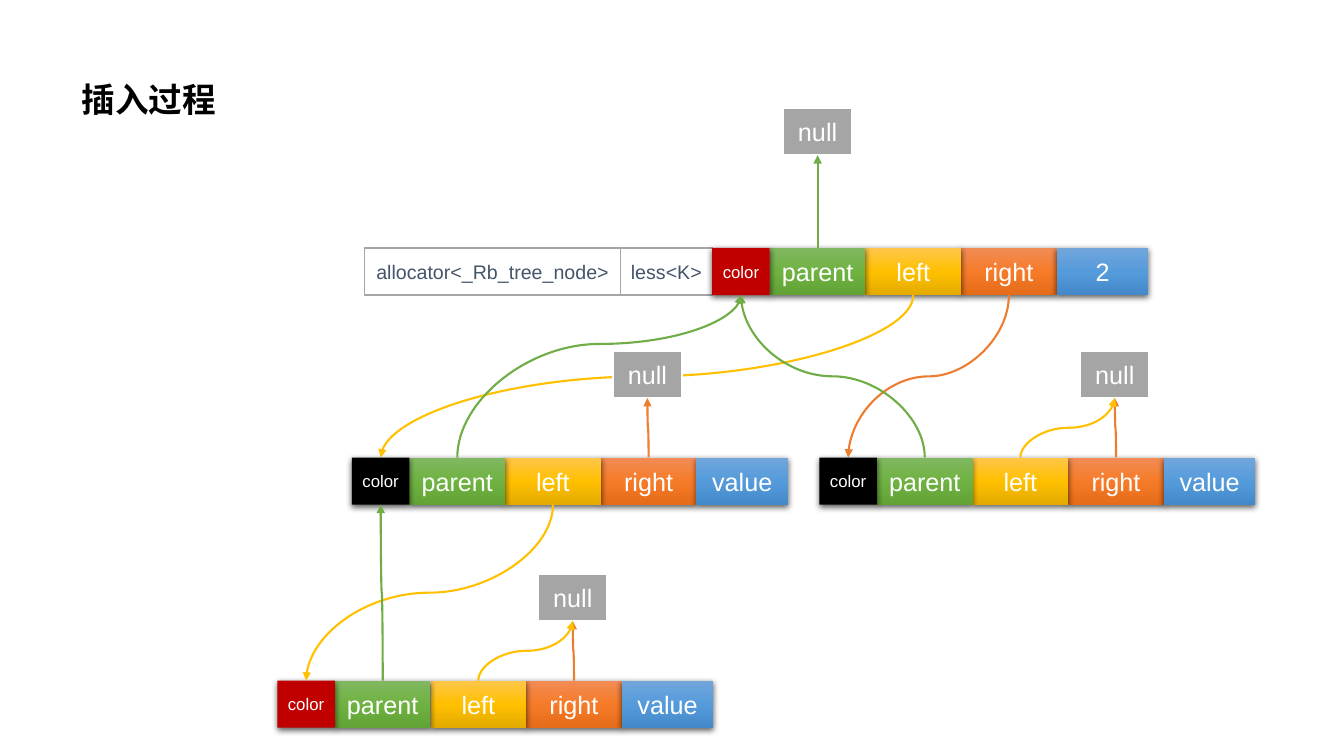
from lxml.etree import SubElement
from pptx import Presentation
from pptx.dml.color import RGBColor
from pptx.enum.shapes import MSO_CONNECTOR as Connector, MSO_SHAPE as Shape
from pptx.enum.text import MSO_ANCHOR as Anchor, MSO_AUTO_SIZE as AutoSize, PP_ALIGN as Align
from pptx.oxml.ns import qn
from pptx.util import Cm, Pt

COLORS = {
    "white": "FFFFFF", "black": "000000", "red": "C00000", "gray": "A5A5A5", "slate": "44546A",
    "parent": "70AD47", "left": "FFC000", "right": "ED7D31",
}
GRADIENTS = {
    "parent": ("81B861", "6FB242", "62A336"),
    "left": ("FFC64B", "FFC000", "E3AB00"),
    "right": ("F18C57", "F67B28", "E56C19"),
    "value": ("71A6DB", "559BDB", "448ACA"),
}
CELL_WIDTHS = {"color": 1.45, "parent": 2.41, "left": 2.41, "right": 2.41, "value": 2.31}
STACKING = ("right", "left", "parent", "color", "value")
HEIGHT = 1.19
NULL_WIDTH = 1.75
NULL_RISE = 2.69
ROOT_NULL_RISE = 3.53


def rgb(name):
    """Return the palette colour of the given name."""
    return RGBColor.from_string(COLORS[name])


def add_box(slide, box, text, size, fill=None, line=None, line_width=1, ink="white"):
    """Add a rectangle with one centred line of text."""
    shape = slide.shapes.add_shape(Shape.RECTANGLE, *map(Cm, box))
    shape.shadow.inherit = False
    if fill:
        shape.fill.solid()
        shape.fill.fore_color.rgb = rgb(fill)
    if line:
        shape.line.color.rgb = rgb(line)
        shape.line.width = Pt(line_width)
    else:
        shape.line.fill.background()
    frame = shape.text_frame
    frame.text = text
    frame.word_wrap = False
    frame.vertical_anchor = Anchor.MIDDLE
    frame.margin_left = frame.margin_right = 0
    paragraph = frame.paragraphs[0]
    paragraph.alignment = Align.CENTER
    font = paragraph.runs[0].font
    font.name, font.size = "Arial", Pt(size)
    font.color.rgb = rgb(ink)
    return shape


def set_gradient(shape, stops):
    """Fill a shape with evenly spaced colours from top to bottom."""
    shape.fill.gradient()
    shape.fill.gradient_angle = 270
    stop_list = shape._element.spPr.find(".//" + qn("a:gsLst"))
    for stop in list(stop_list):
        stop_list.remove(stop)
    for index, color in enumerate(stops):
        position = 100000 * index // (len(stops) - 1)
        stop = SubElement(stop_list, qn("a:gs"), pos=str(position))
        SubElement(stop, qn("a:srgbClr"), val=color)


def add_shadow(shape):
    """Give a shape a soft shadow below."""
    effects = shape._element.spPr.find(qn("a:effectLst"))
    shadow = SubElement(effects, qn("a:outerShdw"), blurRad=str(Pt(4.5)), dist=str(Pt(1.5)),
                        dir="5400000", algn="ctr", rotWithShape="0")
    color = SubElement(shadow, qn("a:srgbClr"), val=COLORS["black"])
    SubElement(color, qn("a:alpha"), val="63000")


def add_node(slide, left, top, color, value="value"):
    """Draw a tree node and return the top and bottom middle points of its cells."""
    lefts, x = {}, left
    for name, width in CELL_WIDTHS.items():
        lefts[name] = x
        x += width
    for name in STACKING:
        box = (lefts[name], top, CELL_WIDTHS[name], HEIGHT)
        text = value if name == "value" else name
        if name == "color":
            shape = add_box(slide, box, text, 12, color)
        else:
            shape = add_box(slide, box, text, 18)
            set_gradient(shape, GRADIENTS[name])
        add_shadow(shape)
    centers = {name: lefts[name] + width / 2 for name, width in CELL_WIDTHS.items()}
    return {"top": {name: (x, top) for name, x in centers.items()},
            "bottom": {name: (x, top + HEIGHT) for name, x in centers.items()}}


def add_link(slide, start, end, color, bend=0.5):
    """Draw a curved arrow that leaves and arrives vertically."""
    (x1, y1), (x2, y2) = start, end
    middle_x, middle_y = (x1 + x2) / 2, (y1 + y2) / 2
    half_length, half_spread = abs(y2 - y1) / 2, abs(x2 - x1) / 2
    downward = y2 > y1
    if downward == (x2 > x1):
        half_spread = -half_spread
    connector = slide.shapes.add_connector(
        Connector.CURVE, Cm(middle_x - half_length), Cm(middle_y - half_spread),
        Cm(middle_x + half_length), Cm(middle_y + half_spread))
    connector.line.color.rgb = rgb(color)
    connector.line.width = Pt(1.5)
    properties = connector._element.spPr
    properties.find(qn("a:xfrm")).set("rot", "5400000" if downward else "16200000")
    adjustments = properties.find(".//" + qn("a:avLst"))
    SubElement(adjustments, qn("a:gd"), name="adj1", fmla=f"val {round(bend * 100000)}")
    SubElement(properties.find(qn("a:ln")), qn("a:tailEnd"), type="triangle")
    SubElement(properties, qn("a:effectLst"))


def add_null(slide, node, sources, rise=NULL_RISE, shift=-0.03):
    """Place a null box above a node and point the source cells at it."""
    x, y = node["top"][sources[0]]
    center, top = x + shift, y - rise
    add_box(slide, (center - NULL_WIDTH / 2, top, NULL_WIDTH, HEIGHT), "null", 18,
            "gray", "white", 1.5)
    for source in sources:
        add_link(slide, node["top"][source], (center, top + HEIGHT), source)


def add_title(slide, box, text):
    """Fill and place the title placeholder."""
    title = slide.shapes.title
    title.left, title.top, title.width, title.height = map(Cm, box)
    frame = title.text_frame
    frame.text = text
    frame.auto_size = AutoSize.NONE
    frame.vertical_anchor = Anchor.MIDDLE
    paragraph = frame.paragraphs[0]
    paragraph.alignment = Align.LEFT
    paragraph.line_spacing = 0.9
    font = paragraph.runs[0].font
    font.name, font.size, font.bold = "Montserrat", Pt(24), True
    font.color.rgb = rgb("black")


def add_header(slide, right, top):
    """Place the comparator and allocator boxes to the left of the root node."""
    for text, width in (("less<K>", 2.31), ("allocator<_Rb_tree_node>", 6.45)):
        right -= width
        add_box(slide, (right, top, width, HEIGHT), text, 14, "white", "gray", ink="slate")


def add_tree(slide, left, top):
    """Draw the red-black tree with its links from the given corner."""
    root_left, root_top = left + 10.96, top + ROOT_NULL_RISE
    child_top = root_top + 5.28
    add_header(slide, root_left, root_top)
    root = add_node(slide, root_left, root_top, "red", "2")
    add_null(slide, root, ("parent",), ROOT_NULL_RISE, 0)

    left_child = add_node(slide, left + 1.88, child_top, "black")
    add_link(slide, root["bottom"]["left"], left_child["top"]["color"], "left")
    add_link(slide, left_child["top"]["parent"], root["bottom"]["color"], "parent", 0.7)
    add_null(slide, left_child, ("right",))

    right_child = add_node(slide, left + 13.66, child_top, "black")
    add_link(slide, root["bottom"]["right"], right_child["top"]["color"], "right")
    add_link(slide, right_child["top"]["parent"], root["bottom"]["color"], "parent")
    add_null(slide, right_child, ("right", "left"))

    grandchild = add_node(slide, left, child_top + 5.62, "red")
    add_link(slide, left_child["bottom"]["left"], grandchild["top"]["color"], "left")
    add_null(slide, grandchild, ("right", "left"))
    add_link(slide, grandchild["top"]["parent"], left_child["bottom"]["color"], "parent")


def main():
    """Build the slide and save it."""
    presentation = Presentation()
    presentation.slide_width, presentation.slide_height = Cm(33.87), Cm(19.05)
    slide = presentation.slides.add_slide(presentation.slide_layouts[5])
    add_title(slide, (1.8, 0.71, 29.21, 3.68), "插入过程")
    add_tree(slide, 6.99, 2.72)
    presentation.save("out.pptx")


if __name__ == "__main__":
    main()
